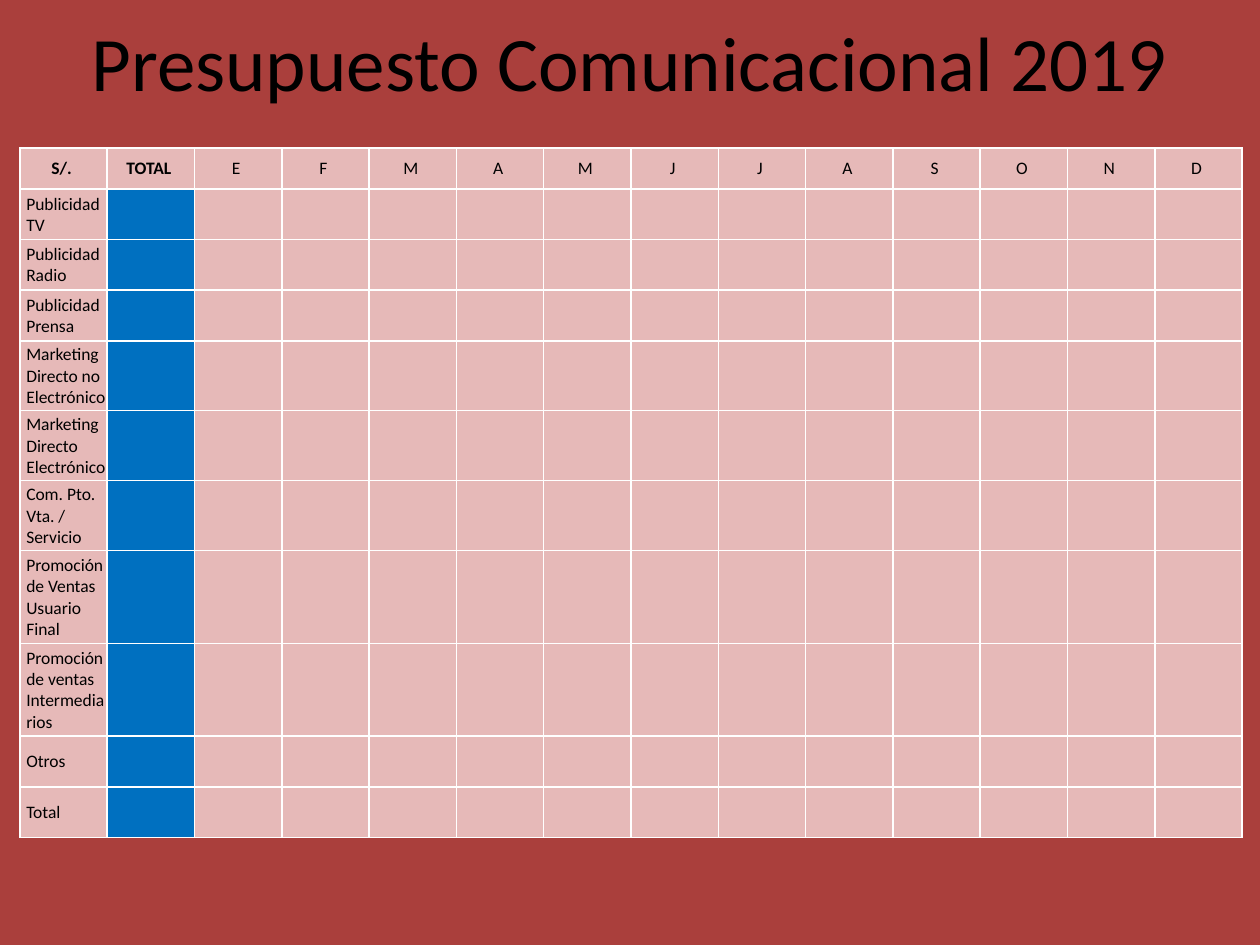
from lxml import etree
from pptx import Presentation
from pptx.dml.color import RGBColor
from pptx.enum.text import MSO_ANCHOR, PP_ALIGN
from pptx.oxml.ns import qn
from pptx.util import Cm, Pt

LEFT, CENTER = PP_ALIGN.LEFT, PP_ALIGN.CENTER
MIDDLE = MSO_ANCHOR.MIDDLE

BRICK = RGBColor(0xAA, 0x3F, 0x3C)
PINK = RGBColor(0xE6, 0xB9, 0xB8)
BLUE = RGBColor(0x00, 0x70, 0xC0)
BLACK = RGBColor(0x00, 0x00, 0x00)
WHITE = RGBColor(0xFF, 0xFF, 0xFF)

# Content
TITLE = "Presupuesto Comunicacional 2019"
TOTAL_COLUMN = 1
HEADINGS = ["S/.", "TOTAL", *"EFMAMJJASOND"]
HEADING_HEIGHT = 0.83
# Budget item and row height in cm
ITEMS = [
    ("Publicidad TV", 1.02),
    ("Publicidad Radio", 1.02),
    ("Publicidad Prensa", 1.02),
    ("Marketing Directo no Electrónico", 1.41),
    ("Marketing Directo Electrónico", 1.41),
    ("Com. Pto. Vta. / Servicio", 1.41),
    ("Promoción de Ventas Usuario Final", 1.87),
    ("Promoción de ventas Intermediarios", 1.87),
    ("Otros", 1.02),
    ("Total", 1.02),
]
COLUMN_WIDTH = 1.76


def write(frame, text, size=10, bold=False, align=LEFT):
    paragraph = frame.paragraphs[0]
    paragraph.text = text
    paragraph.alignment = align
    font = paragraph.font
    font.name, font.size, font.bold = "Calibri", Pt(size), bold
    font.color.rgb = BLACK


def set_border(cell, **widths):
    properties = cell._tc.get_or_add_tcPr()
    for side, width in widths.items():
        line = etree.SubElement(properties, qn(f"a:ln{side}"), w=str(Pt(width)))
        solid = etree.SubElement(line, qn("a:solidFill"))
        etree.SubElement(solid, qn("a:srgbClr"), val=str(WHITE))


def format_cell(cell, row, column):
    cell.vertical_anchor = MIDDLE
    labelled = row > 0 and column == 0
    cell.margin_left = Cm(0.13 if labelled else 0.02)
    cell.margin_top = cell.margin_right = Cm(0.02)
    cell.margin_bottom = 0
    # A heavier rule separates the headings from the items
    set_border(cell, L=1, R=1, T=1.5 if row == 1 else 1, B=1.5 if row == 0 else 1)
    cell.fill.solid()
    cell.fill.fore_color.rgb = BLUE if row > 0 and column == TOTAL_COLUMN else PINK


presentation = Presentation()
presentation.slide_width, presentation.slide_height = Cm(25.4), Cm(19.05)
slide = presentation.slides.add_slide(presentation.slide_layouts[5])
slide.background.fill.solid()
slide.background.fill.fore_color.rgb = BRICK

# Title
title = slide.shapes.title
title.left, title.top, title.width, title.height = Cm(0), Cm(-0.08), Cm(25.4), Cm(2.59)
title.text_frame.vertical_anchor = MIDDLE
write(title.text_frame, TITLE, size=44, align=CENTER)

# Budget grid
heights = [HEADING_HEIGHT] + [height for _, height in ITEMS]
budget = slide.shapes.add_table(
    len(heights), len(HEADINGS), Cm(0.4), Cm(2.98),
    Cm(COLUMN_WIDTH * len(HEADINGS)), Cm(sum(heights))).table
for month in budget.columns:
    month.width = Cm(COLUMN_WIDTH)
for row, height in enumerate(heights):
    budget.rows[row].height = Cm(height)
    for column in range(len(HEADINGS)):
        cell = budget.cell(row, column)
        format_cell(cell, row, column)
        if row == 0:
            write(cell.text_frame, f"{HEADINGS[column]} ",
                  bold=column <= TOTAL_COLUMN, align=CENTER)
        else:
            write(cell.text_frame, ITEMS[row - 1][0] if column == 0 else "")

presentation.save("out.pptx")
